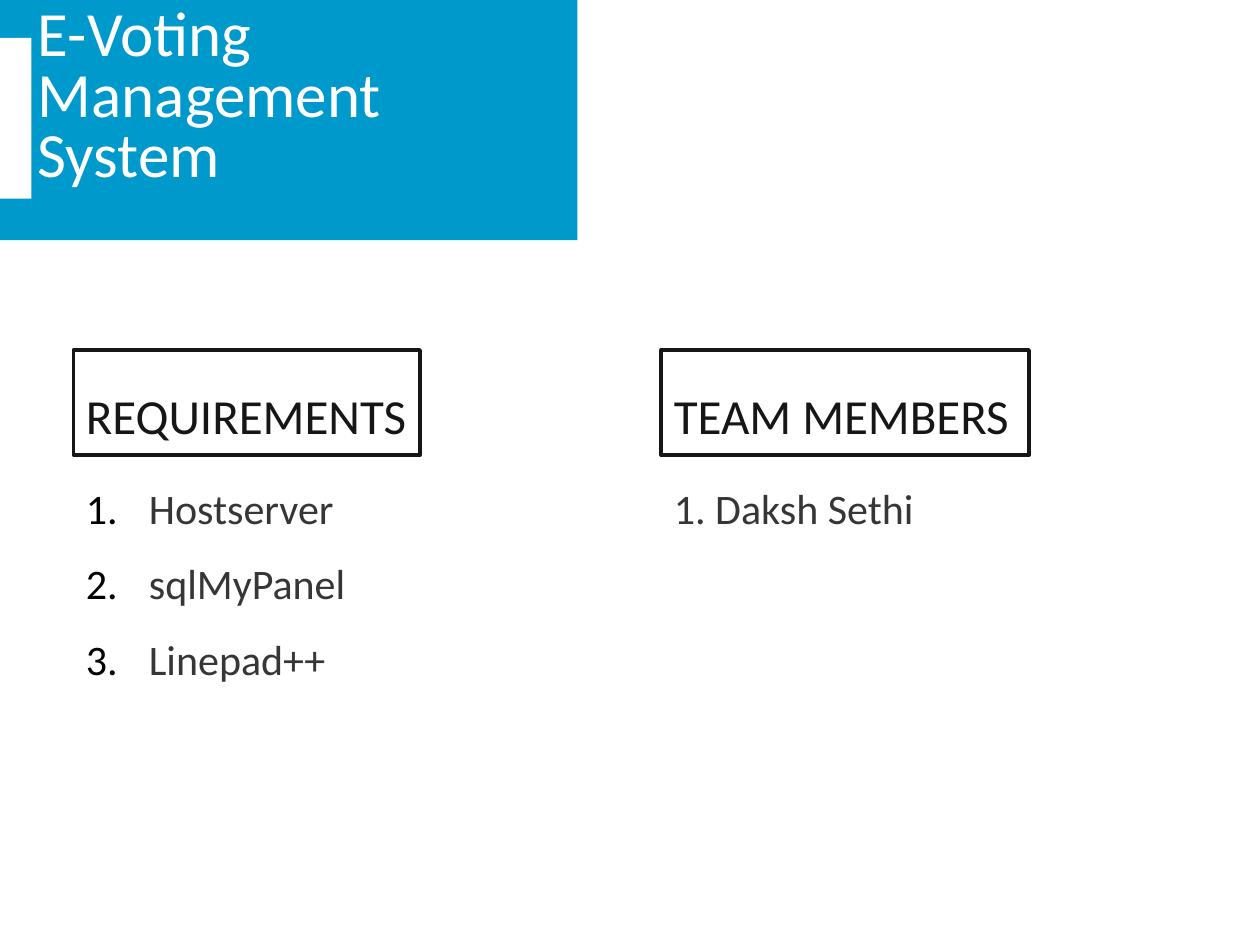
import pptx
import pptx.util
import pptx.dml.color
import pptx.enum.shapes
import pptx.enum.text
import pptx.oxml.ns
from lxml import etree

Pt = pptx.util.Pt
RGBColor = pptx.dml.color.RGBColor
ALIGN = pptx.enum.text.PP_ALIGN
ANCHOR = pptx.enum.text.MSO_ANCHOR

BLUE = RGBColor(0x00, 0x99, 0xCC)
WHITE = RGBColor(0xFF, 0xFF, 0xFF)
INK = RGBColor(0x16, 0x16, 0x16)
GREY = RGBColor(0x36, 0x36, 0x36)
BLACK = RGBColor(0x00, 0x00, 0x00)


def add_text(p, text, size=24, color=GREY, font="Calibri", line=1.0, before=0):
    p.text = text
    p.alignment = ALIGN.LEFT
    p.line_spacing = line
    p.space_before = Pt(before)
    for r in p.runs:
        r.font.name = font
        r.font.size = Pt(size)
        r.font.color.rgb = color


def number(p, color, indent=36):
    pPr = p._p.get_or_add_pPr()
    pPr.set("marL", str(Pt(indent)))
    pPr.set("indent", str(-Pt(indent)))
    qn = pptx.oxml.ns.qn
    clr = etree.SubElement(pPr, qn("a:buClr"))
    etree.SubElement(clr, qn("a:srgbClr"), val=str(color))
    etree.SubElement(pPr, qn("a:buFont"), typeface="+mj-lt")
    etree.SubElement(pPr, qn("a:buAutoNum"), type="arabicPeriod")


class Deck:
    def __init__(self, width, height):
        self.prs = pptx.Presentation()
        self.prs.slide_width = Pt(width)
        self.prs.slide_height = Pt(height)
        self.s = self.prs.slides.add_slide(self.prs.slide_layouts[5])

    def title(self, text, x, y, w, h):
        sp = self.s.shapes.title
        sp.left, sp.top, sp.width, sp.height = Pt(x), Pt(y), Pt(w), Pt(h)
        sp.fill.solid()
        sp.fill.fore_color.rgb = BLUE
        tf = sp.text_frame
        tf.word_wrap = True
        tf.auto_size = pptx.enum.text.MSO_AUTO_SIZE.NONE
        tf.vertical_anchor = ANCHOR.BOTTOM
        tf.margin_left, tf.margin_top = Pt(21.6), Pt(0)
        tf.margin_right, tf.margin_bottom = Pt(7.2), Pt(28.8)
        add_text(tf.paragraphs[0], text, size=36, color=WHITE, line=0.8)

    def bar(self, x, y, w, h):
        sp = self.s.shapes.add_shape(
            pptx.enum.shapes.MSO_SHAPE.RECTANGLE, Pt(x), Pt(y), Pt(w), Pt(h))
        sp.shadow.inherit = False
        sp.fill.solid()
        sp.fill.fore_color.rgb = WHITE
        sp.line.fill.background()

    def textbox(self, x, y, w, h):
        sp = self.s.shapes.add_textbox(Pt(x), Pt(y), Pt(w), Pt(h))
        sp.text_frame.word_wrap = True
        return sp

    def heading(self, text, x, y, w, h):
        sp = self.textbox(x, y, w, h)
        sp.line.color.rgb = INK
        sp.line.width = Pt(2.25)
        add_text(sp.text_frame.paragraphs[0], text, size=28, color=INK, line=1.5)

    def items(self, texts, x, y, w, h, numbered=False):
        tf = self.textbox(x, y, w, h).text_frame
        for i, text in enumerate(texts):
            p = tf.add_paragraph() if i else tf.paragraphs[0]
            add_text(p, text, before=14.4 if i else 0)
            if numbered:
                number(p, BLACK)


def main():
    deck = Deck(720, 540)
    deck.title("E-Voting\vManagement System", 0, -0.7, 330, 138)
    left, right, head_y, list_y = 42, 378, 200, 272
    deck.heading("REQUIREMENTS", left, head_y, 198, 60)
    deck.items(["Hostserver", "sqlMyPanel", "Linepad++"],
               left, list_y, 288, 136, numbered=True)
    deck.heading("TEAM MEMBERS", right, head_y, 210, 60)
    deck.items(["1. Daksh Sethi"], right, list_y, 300, 94)
    deck.bar(0, 21.6, 18, 92)
    deck.prs.save("out.pptx")


if __name__ == "__main__":
    main()
